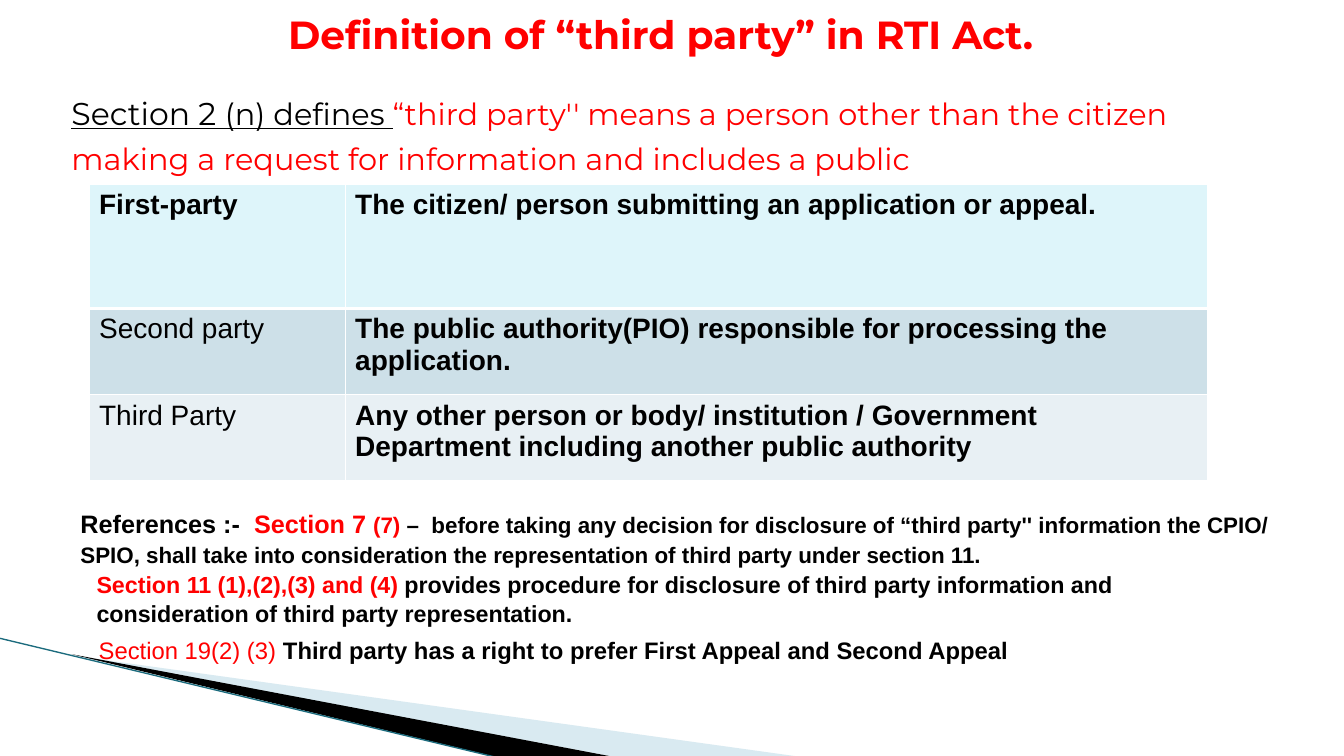
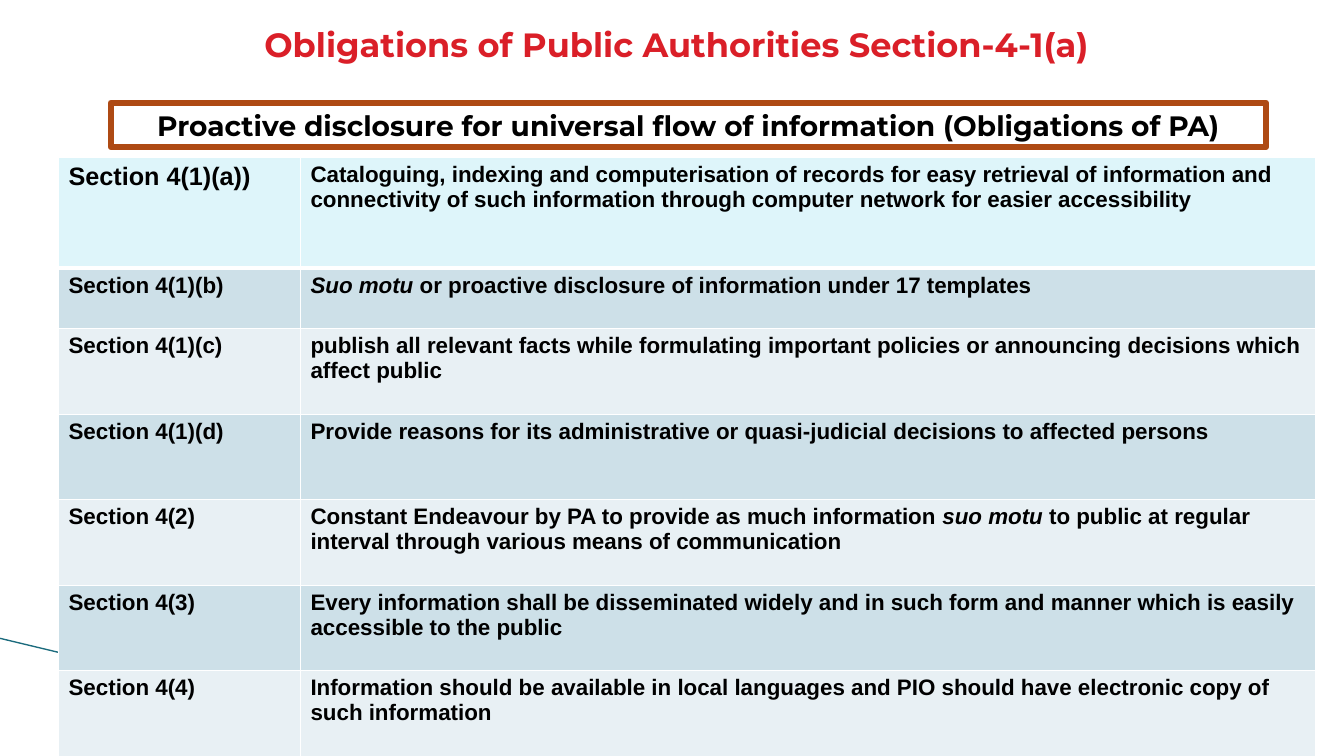
from dataclasses import dataclass

from lxml.etree import SubElement
from pptx import Presentation
from pptx.dml.color import RGBColor
from pptx.enum.shapes import MSO_CONNECTOR as Connector, MSO_SHAPE as Shape
from pptx.enum.text import MSO_ANCHOR as Anchor, MSO_AUTO_SIZE as AutoSize, PP_ALIGN as Align
from pptx.oxml.ns import qn
from pptx.util import Pt

COLORS = {
    "white": "FFFFFF",
    "black": "000000",
    "red": "FF0000",
    "crimson": "DA1F28",
    "rust": "AE4A14",
    "pale_blue": "A0CBDC",
    "teal": "1B6B7D",
    "head_row": "DEF5FA",
    "odd_row": "CDE0E8",
    "even_row": "E8F0F4",
}
HEADING_FONT = "Montserrat"
BODY_FONT = "Arial"


@dataclass
class Words:
    text: str
    size: float = 16
    color: str = "black"
    bold: bool = True
    italic: bool = False
    underline: bool = False
    font: str = BODY_FONT


def rgb(name):
    return RGBColor.from_string(COLORS[name])


def write(frame, phrases, align=Align.LEFT, spacing=1.0):
    paragraph = frame.paragraphs[0]
    paragraph.alignment = align
    paragraph.line_spacing = spacing
    for words in phrases:
        run = paragraph.add_run()
        run.text = words.text
        run.font.name = words.font
        run.font.size = Pt(words.size)
        run.font.bold = words.bold
        run.font.italic = words.italic
        run.font.underline = words.underline
        run.font.color.rgb = rgb(words.color)


def place(shape, left, top, width, height):
    shape.left, shape.top = Pt(left), Pt(top)
    shape.width, shape.height = Pt(width), Pt(height)


def add_title(slide, box, words):
    title = slide.shapes.title
    place(title, *box)
    frame = title.text_frame
    frame.word_wrap = True
    frame.auto_size = AutoSize.NONE
    frame.vertical_anchor = Anchor.MIDDLE
    write(frame, [words], Align.CENTER)


def add_text(slide, box, phrases, drop=0, spacing=1.0):
    frame = slide.shapes.add_textbox(*map(Pt, box)).text_frame
    frame.word_wrap = True
    frame.margin_top = Pt(3.6 + drop)
    write(frame, phrases, spacing=spacing)


def add_banner(slide, box, words):
    banner = slide.shapes.add_shape(Shape.RECTANGLE, *map(Pt, box))
    banner.shadow.inherit = False
    banner.fill.solid()
    banner.fill.fore_color.rgb = rgb("white")
    banner.line.color.rgb = rgb("rust")
    banner.line.width = Pt(4.33)
    banner.text_frame.word_wrap = True
    banner.text_frame.vertical_anchor = Anchor.MIDDLE
    write(banner.text_frame, [words], Align.CENTER)


def add_wedge(slide, points, color, opacity=100):
    start, *others = [(Pt(x), Pt(y)) for x, y in points]
    outline = slide.shapes.build_freeform(*start)
    outline.add_line_segments(others, close=True)
    wedge = outline.convert_to_shape()
    wedge.shadow.inherit = False
    wedge.line.fill.background()
    wedge.fill.solid()
    wedge.fill.fore_color.rgb = rgb(color)
    if opacity < 100:
        tint = wedge.fill._xPr.find(".//" + qn("a:srgbClr"))
        SubElement(tint, qn("a:alpha"), val=str(opacity * 1000))


def add_swoosh(slide):
    add_wedge(slide, [(52.6, 468.4), (571, 540.5), (437.8, 540.5)], "pale_blue", 40)
    add_wedge(slide, [(51.1, 467.3), (438.5, 540.7), (357.1, 541.4)], "black")
    edge = slide.shapes.add_connector(
        Connector.STRAIGHT, Pt(-0.7), Pt(455.8), Pt(356.4), Pt(541.4))
    edge.line.color.rgb = rgb("teal")
    edge.line.width = Pt(0.95)
    SubElement(edge._element.spPr, qn("a:effectLst"))


def add_borders(cell, widths):
    properties = cell._tc.get_or_add_tcPr()
    for side, width in zip("LRTB", widths):
        border = SubElement(properties, qn(f"a:ln{side}"), w=str(Pt(width)))
        paint = SubElement(border, qn("a:solidFill"))
        SubElement(paint, qn("a:srgbClr"), val=COLORS["white"])


def add_sections_table(slide, left, top, widths, heights, rows):
    table = slide.shapes.add_table(
        len(rows), len(widths), Pt(left), Pt(top), Pt(sum(widths)), Pt(sum(heights))).table
    for column, width in zip(table.columns, widths):
        column.width = Pt(width)
    for index, (row, height, entries) in enumerate(zip(table.rows, heights, rows)):
        row.height = Pt(height)
        shade = "head_row" if index == 0 else "odd_row" if index % 2 else "even_row"
        above, below = 3 if index == 1 else 1, 3 if index == 0 else 1
        for cell, phrases in zip(row.cells, entries):
            add_borders(cell, (1, 1, above, below))
            cell.fill.solid()
            cell.fill.fore_color.rgb = rgb(shade)
            write(cell.text_frame, phrases)


def new_slide(deck):
    slide = deck.slides.add_slide(deck.slide_layouts[5])
    add_swoosh(slide)
    return slide


def build_third_party(deck):
    slide = new_slide(deck)
    parties = [
        ("First-party", "The citizen/ person submitting an application or appeal."),
        ("Second party ", "The public authority(PIO) responsible for processing the application."),
        ("Third Party ", "Any other person or body/ institution / Government Department "
                         "including another public authority"),
    ]
    add_sections_table(
        slide, 63.6, 131.8, (182.9, 616.3), (88.6, 61.6, 61.6),
        [([Words(party, 20, bold=index == 0)], [Words(meaning, 20)])
         for index, (party, meaning) in enumerate(parties)])
    add_title(slide, (137.5, 0, 676.8, 48.2),
              Words("Definition of “third party” in RTI Act. ", 28, "red", font=HEADING_FONT))
    add_text(slide, (43.9, 63.4, 812.2, 60.5), [
        Words("Section 2 ", 22.5, bold=False, underline=True, font=HEADING_FONT),
        Words("(n) defines ", 21.7, bold=False, underline=True, font=HEADING_FONT),
        Words("“third party'' means a person other than the citizen making a request "
              "for information and includes a public", 21.7, "red", False, font=HEADING_FONT),
        Words(" ", 27.9, "red", False, font=HEADING_FONT),
    ])
    add_text(slide, (50.4, 336.2, 909.4, 59), [
        Words("References :-  ", 18),
        Words("Section 7 ", 18, "red"),
        Words("(7) ", color="red"),
        Words("–  before taking any decision for disclosure of “third party'' information "
              "the CPIO/ SPIO, shall take into consideration the representation of third "
              "party under section 11."),
    ], drop=22, spacing=1.07)
    add_text(slide, (61.9, 381.6, 818.6, 65.5), [
        Words("Section 11 (1),(2),(3) and (4) ", 16.6, "red"),
        Words("provides procedure for disclosure of third party information and "
              "consideration of third party representation. ", 16.6),
    ], drop=20.4, spacing=1.07)
    add_text(slide, (63.4, 428.4, 848.9, 111.6), [
        Words("Section 19(2) (3) ", 17, "red", False),
        Words("Third party has a right to prefer First Appeal and Second Appeal", 17),
    ], drop=20.4, spacing=1.07)


def build_obligations(deck):
    slide = new_slide(deck)
    latin = Words("Suo motu", italic=True)
    duties = [
        ("4(1)(a))", [Words("Cataloguing, indexing and computerisation of records for easy "
                            "retrieval of information and connectivity of such information "
                            "through computer network for easier accessibility ")]),
        ("4(1)(b)", [latin, Words(" or proactive disclosure of information under 17 templates ")]),
        ("4(1)(c)", [Words("publish all relevant facts while formulating important policies "
                           "or announcing decisions which affect public")]),
        ("4(1)(d)", [Words("Provide reasons for its administrative or quasi-judicial "
                           "decisions to affected persons")]),
        ("4(2)", [Words("Constant Endeavour by PA to provide as much information "),
                  Words("suo motu", italic=True),
                  Words(" to public at regular interval through various means of communication")]),
        ("4(3)", [Words("Every information shall be disseminated widely and in such form "
                        "and manner which is easily accessible to the public")]),
        ("4(4)", [Words("Information should be available in local languages and PIO should "
                        "have electronic copy of such information")]),
    ]
    add_sections_table(
        slide, 41.8, 112.3, (172.8, 725), (79.2, 43.2, *[61.1] * 5),
        [([Words(f"Section {number}", 16 if index else 18)], duty)
         for index, (number, duty) in enumerate(duties)])
    add_title(slide, (53.3, 0, 859.7, 62.6),
              Words("Obligations of Public Authorities Section-4-1(a)", 24, "crimson",
                    font=HEADING_FONT))
    add_banner(slide, (79.2, 73.4, 825.1, 31.7),
               Words("Proactive disclosure for universal flow of information "
                     "(Obligations of PA)", 20, font=HEADING_FONT))


def main():
    deck = Presentation()
    deck.slide_width, deck.slide_height = Pt(960), Pt(540)
    build_third_party(deck)
    build_obligations(deck)
    deck.save("out.pptx")


main()
